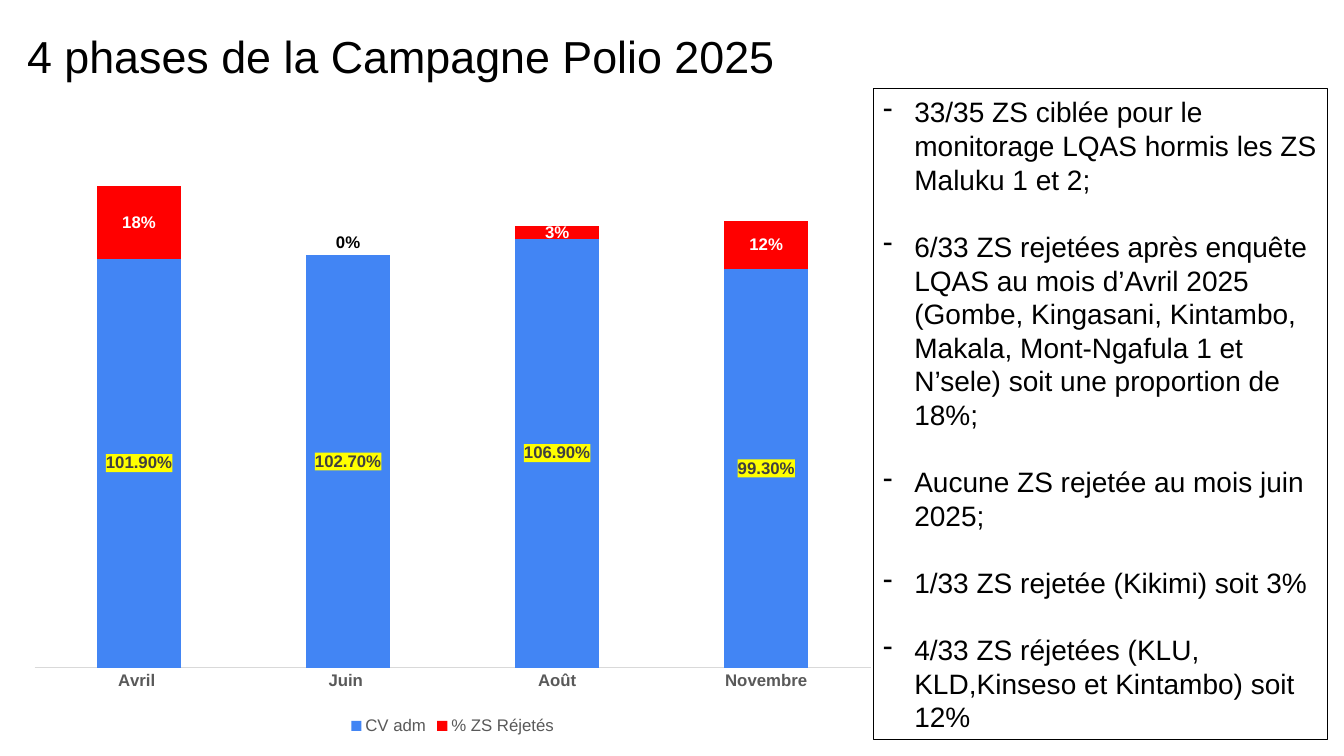
import pptx
import pptx.chart.data
import pptx.dml.color
import pptx.enum.chart
import pptx.enum.shapes
import pptx.enum.text
import pptx.oxml
import pptx.oxml.ns
import pptx.util
from lxml import etree

Inches, Pt = pptx.util.Inches, pptx.util.Pt
qn = pptx.oxml.ns.qn
enum = pptx.enum.chart
HUES = {"black": "000000", "white": "FFFFFF", "blue": "4285F4", "red": "FF0000",
        "yellow": "FFFF00", "dark": "404040", "grey": "595959", "rule": "D9D9D9"}


def rgb(hue):
    return pptx.dml.color.RGBColor.from_string(HUES[hue])


def style(font, size, hue, bold=False):
    for key, value in {"name": "Arial", "size": Pt(size), "bold": bold}.items():
        setattr(font, key, value)
    font.color.rgb = rgb(hue)


deck = pptx.Presentation()
deck.slide_width, deck.slide_height = Inches(13.33), Inches(7.5)
slide = deck.slides.add_slide(deck.slide_layouts[6])

# Title
title = slide.shapes.add_textbox(Inches(0.17), Inches(0.24), Inches(9.92), Inches(0.64))
title.text_frame.word_wrap = True
line = title.text_frame.paragraphs[0]
line.text = "4 phases de la Campagne Polio 2025"
style(line.font, 32, "black")

# Findings
notes = [
    "33/35 ZS ciblée pour le monitorage LQAS hormis les ZS Maluku 1 et 2;",
    "6/33 ZS rejetées après enquête LQAS au mois d’Avril 2025 (Gombe, Kingasani, "
    "Kintambo, Makala, Mont-Ngafula 1 et N’sele) soit une proportion de 18%;",
    "Aucune ZS rejetée au mois juin 2025;",
    "1/33 ZS rejetée (Kikimi) soit 3%",
    "4/33 ZS réjetées (KLU, KLD,Kinseso et Kintambo) soit 12%",
]
box = slide.shapes.add_shape(pptx.enum.shapes.MSO_SHAPE.RECTANGLE,
                             Inches(8.66), Inches(0.88), Inches(4.51), Inches(6.46))
box.shadow.inherit = False
box.fill.background()
box.line.color.rgb = rgb("black")
box.line.width = Pt(0.75)
frame = box.text_frame
frame.word_wrap = True
frame.vertical_anchor = pptx.enum.text.MSO_ANCHOR.MIDDLE
for i, note in enumerate(notes):
    para = frame.paragraphs[0] if i == 0 else frame.add_paragraph()
    para.text = note
    para.alignment = pptx.enum.text.PP_ALIGN.LEFT
    para.space_before = Pt(24 if i else 0)
    props = para._p.get_or_add_pPr()
    props.set("marL", str(Inches(0.31)))
    props.set("indent", str(-Inches(0.31)))
    etree.SubElement(props, qn("a:buChar")).set("char", "-")
    style(para.font, 20, "black")

# Chart
data = pptx.chart.data.CategoryChartData()
data.categories = ["Avril ", "Juin ", "Août", "Novembre"]
data.add_series("CV adm", [1.019, 1.027, 1.069, 0.993], "0.00%")
data.add_series("% ZS Réjetés", [0.18, 0, 0.03, 0.12], "0%")
chart = slide.shapes.add_chart(enum.XL_CHART_TYPE.COLUMN_STACKED, Inches(0.17),
                               Inches(0.92), Inches(8.64), Inches(6.41), data).chart
style(chart.font, 10, "black")
chart.has_title = False
chart.has_legend = True
chart.legend.position = enum.XL_LEGEND_POSITION.BOTTOM
chart.legend.include_in_layout = False
style(chart.legend.font, 12, "grey")

months = chart.category_axis
months.major_tick_mark = enum.XL_TICK_MARK.NONE
months.format.line.color.rgb = rgb("rule")
months.format.line.width = Pt(0.75)
style(months.tick_labels.font, 12, "grey", True)
scale = chart.value_axis
for key, value in {"visible": False, "has_major_gridlines": False,
                   "minimum_scale": 0, "maximum_scale": 1.4}.items():
    setattr(scale, key, value)

plot = chart.plots[0]
for key, value in {"gap_width": 150, "overlap": 100, "vary_by_categories": False}.items():
    setattr(plot, key, value)
looks = [("blue", "dark", "0.00%"), ("red", "white", "0%")]
for bars, (hue, ink, form) in zip(plot.series, looks):
    bars.format.fill.solid()
    bars.format.fill.fore_color.rgb = rgb(hue)
    tags = bars.data_labels
    for key, value in {"show_value": True, "number_format": form,
                       "number_format_is_linked": False,
                       "position": enum.XL_LABEL_POSITION.CENTER}.items():
        setattr(tags, key, value)
    style(tags.font, 12, ink, True)

# Yellow behind the coverage labels
tags = plot.series[0].data_labels._element
tags.find(qn("c:txPr")).addprevious(pptx.oxml.parse_xml(
    f'<c:spPr {pptx.oxml.ns.nsdecls("c", "a")}><a:solidFill>'
    f'<a:srgbClr val="{HUES["yellow"]}"/></a:solidFill></c:spPr>'))

# June has no rejected zone, so its label sits on the bar in black
june = plot.series[1].points[1].data_label
style(june.font, 12, "black", True)
june.position = enum.XL_LABEL_POSITION.INSIDE_BASE

# Plot area as shares of the chart frame
area = chart._chartSpace.chart.plotArea
for old in area.findall(qn("c:layout")):
    area.remove(old)
layout = etree.Element(qn("c:layout"))
area.insert(0, layout)
manual = etree.SubElement(layout, qn("c:manualLayout"))
for key, value in {"layoutTarget": "inner", "xMode": "edge", "yMode": "edge",
                   "x": 0.02, "y": 0.02, "w": 0.96, "h": 0.87}.items():
    etree.SubElement(manual, qn(f"c:{key}")).set("val", str(value))

deck.save("out.pptx")
